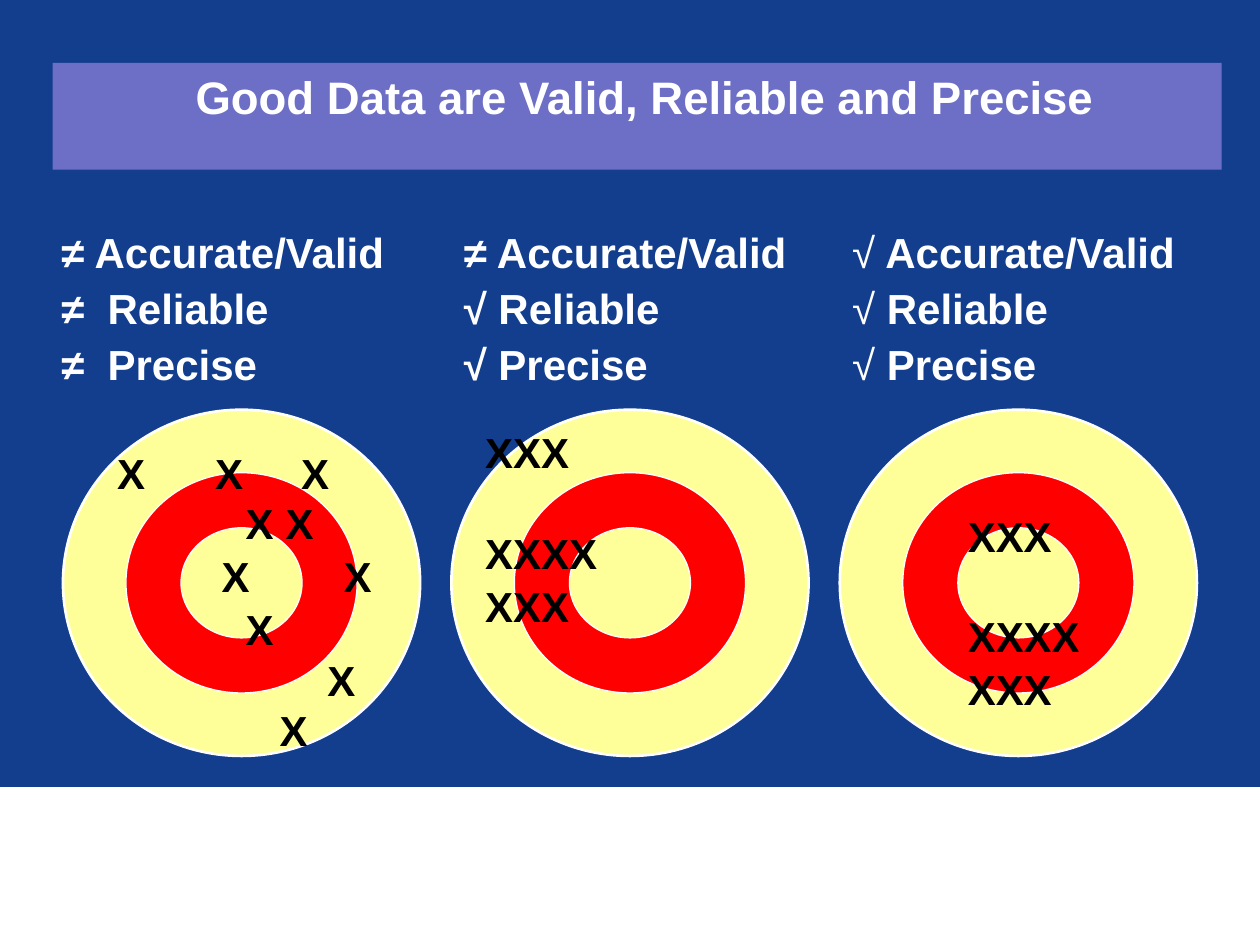
from pptx import Presentation, util as u
from pptx.dml.color import RGBColor
from pptx.enum import shapes, text
from pptx.oxml.ns import qn
from lxml import etree

COLORS = {"bg": "133D8D", "title": "6D6FC7", "pale": "FFFF99",
          "red": "FF0000", "white": "FFFFFF", "black": "000000"}


def rgb(name):
    return RGBColor.from_string(COLORS[name])


def add_text(tf, runs, first=False, size=24, color="white",
             align=text.PP_ALIGN.LEFT, before=0, tabs=()):
    """Add one paragraph; runs is a list of (text, bold) pairs."""
    p = tf.paragraphs[0] if first else tf.add_paragraph()
    if tabs:
        tab_list = etree.SubElement(p._p.get_or_add_pPr(), qn("a:tabLst"))
        for pos in tabs:
            etree.SubElement(tab_list, qn("a:tab"), pos=str(u.Cm(pos)), algn="l")
    p.alignment = align
    p.line_spacing = u.Pt(size * 1.2)
    p.space_before = u.Pt(0 if first else before)
    for words, bold in runs:
        r = p.add_run()
        r.text = words
        r.font.name, r.font.size, r.font.bold = "Arial", u.Pt(size), bold
        r.font.color.rgb = rgb(color)


prs = Presentation()
prs.slide_width, prs.slide_height = u.Cm(25.4), u.Cm(19.05)
s = prs.slides.add_slide(prs.slide_layouts[6])
s.background.fill.solid()
s.background.fill.fore_color.rgb = rgb("bg")

# Shapes: white footer, title bar, then the discs and rings of the targets
MSO = shapes.MSO_SHAPE
PITCH = 7.83
parts = [(MSO.RECTANGLE, 0, 15.88, 25.4, 3.17, "white", 0.75),
         (MSO.RECTANGLE, 1.06, 1.27, 23.57, 2.15, "title", 0)]
for i in range(3):
    parts += [(MSO.OVAL, 1.27 + i * PITCH, 8.26, 7.2, 6.98, "pale", 1.5),
              (MSO.DONUT, 2.54 + i * PITCH, 9.53, 4.66, 4.44, "red", 0.75)]
for kind, x, y, w, h, color, line in parts:
    sp = s.shapes.add_shape(kind, u.Cm(x), u.Cm(y), u.Cm(w), u.Cm(h))
    sp.shadow.inherit = False
    sp.fill.solid()
    sp.fill.fore_color.rgb = rgb(color)
    if line:
        sp.line.color.rgb = rgb("white")
        sp.line.width = u.Pt(line)
    else:
        sp.line.fill.background()
    if color == "title":
        tf = sp.text_frame
        tf.word_wrap = True
        tf.vertical_anchor = text.MSO_ANCHOR.TOP
        tf.margin_left = u.Cm(0.57)
        add_text(tf, [("Good Data are Valid, Reliable and Precise", True)],
                 first=True, size=26, align=text.PP_ALIGN.CENTER)

# Hits: scattered on the first target, grouped on the other two
scatter = [("X\tX\tX", (1.98, 3.71)), ("\tX\tX", (2.59, 3.4)),
           ("\tX\tX", (2.11, 4.57)), ("\tX", (2.59,)),
           ("\tX", (4.24,)), ("\tX", (3.28,))]
s_rows = [(words, tabs, 1.5 if i in (2, 3) else 0)
          for i, (words, tabs) in enumerate(scatter)]
cluster = [("XXX", (), 0), ("XXXX", (), 28.8), ("XXX", (), 1.5)]
for x, y, w, h, rows in [(2.11, 8.89, 5.72, 6.45, s_rows),
                         (9.53, 8.47, 3.6, 4.37, cluster),
                         (19.26, 10.16, 3.39, 4.37, cluster)]:
    tf = s.shapes.add_textbox(u.Cm(x), u.Cm(y), u.Cm(w), u.Cm(h)).text_frame
    tf.word_wrap = True
    for i, (words, tabs, before) in enumerate(rows):
        add_text(tf, [(words, True)], first=i == 0, color="black",
                 before=before, tabs=tabs)

# Verdicts above each target
qualities = ["Accurate/Valid", "Reliable", "Precise"]
for x, marks, bold, gaps in [(0.99, "≠≠≠", True, " \t\t"),
                             (9.1, "≠√√", True, "   "),
                             (16.93, "√√√", False, "   ")]:
    tf = s.shapes.add_textbox(u.Cm(x), u.Cm(4.45), u.Cm(7.65), u.Cm(3.9)).text_frame
    tf.word_wrap = True
    for i, (mark, gap, quality) in enumerate(zip(marks, gaps, qualities)):
        add_text(tf, [(mark, bold), (gap + quality, True)], first=i == 0,
                 before=3, tabs=(0.93,) if gap == "\t" else ())

prs.save("out.pptx")
